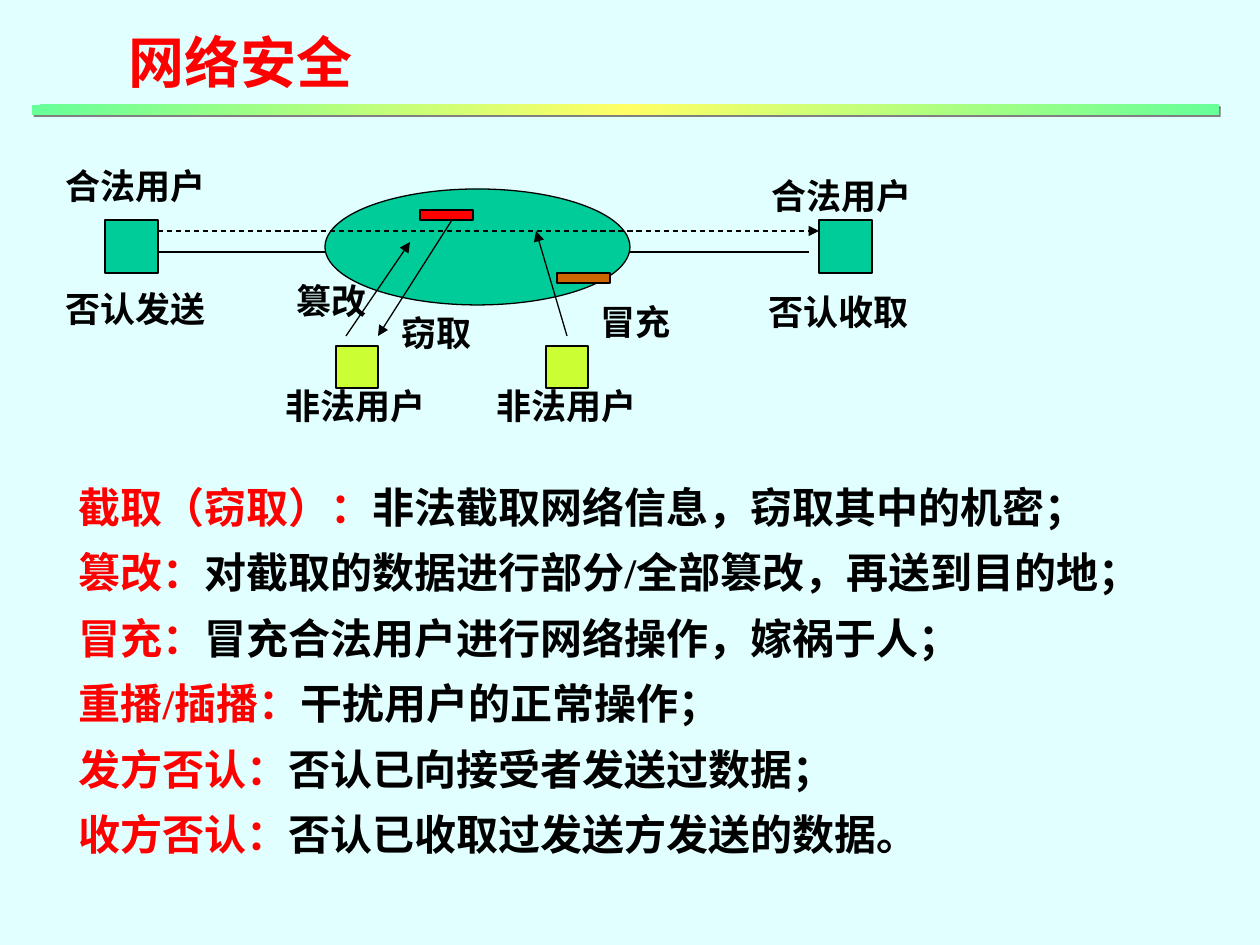
from copy import deepcopy

from lxml import etree
from pptx import Presentation, util as u
from pptx.dml.color import RGBColor
from pptx.enum import dml, shapes, text
from pptx.oxml.ns import qn

CJK, LATIN = "Noto Sans CJK SC", "Times New Roman"
BLACK, RED, GREEN, LIME, ORANGE = "000000", "FF0000", "00CC99", "CCFF33", "CC6600"
SQUARE, SMALL, BAR = (53, 53), (42, 42), (53, 10)

NODES = [
    ("RECTANGLE", (105, 220), SQUARE, GREEN),
    ("OVAL", (325, 189), (305, 116), GREEN),
    ("RECTANGLE", (819, 220), SQUARE, GREEN),
    ("RECTANGLE", (420, 210), BAR, RED),
    ("RECTANGLE", (336, 346), SMALL, LIME),
    ("RECTANGLE", (546, 346), SMALL, LIME),
    ("RECTANGLE", (557, 273), BAR, ORANGE),
]
LINKS = [((158, 252), (325, 252)), ((630, 252), (809, 252))]
ATTACKS = [
    ((452, 220), (378, 336)),
    ((346, 336), (410, 242)),
    ((567, 336), (536, 231)),
]
LABELS = [
    ("窃取", 389, 305), ("篡改", 284, 273), ("冒充", 588, 294),
    ("合法用户", 53, 158), ("合法用户", 759, 168),
    ("否认发送", 53, 281), ("否认收取", 756, 284),
    ("非法用户", 273, 378), ("非法用户", 484, 378),
]
THREATS = [
    ("截取（窃取）：", "非法截取网络信息，窃取其中的机密；"),
    ("篡改：", "对截取的数据进行部分/全部篡改，再送到目的地；"),
    ("冒充：", "冒充合法用户进行网络操作，嫁祸于人；"),
    ("重播/插播：", "干扰用户的正常操作；"),
    ("发方否认：", "否认已向接受者发送过数据；"),
    ("收方否认：", "否认已收取过发送方发送的数据。"),
]


def px(n):
    return u.Emu(round(n * 914400 / 126))


def rgb(value):
    return RGBColor.from_string(value)


def place(sp, x, y, w, h):
    sp.left, sp.top, sp.width, sp.height = px(x), px(y), px(w), px(h)


def add_run(p, content, size=20, color=BLACK, font=LATIN):
    r = p.add_run()
    r.text = content
    r.font.size, r.font.bold, r.font.name = u.Pt(size), True, font
    r.font.color.rgb = rgb(color)
    etree.SubElement(r.font._element, qn("a:ea"), typeface=CJK)


def set_frame(sp, anchor=text.MSO_ANCHOR.MIDDLE, wrap=False):
    tf = sp.text_frame
    tf.word_wrap = wrap
    tf.auto_size = text.MSO_AUTO_SIZE.NONE
    tf.vertical_anchor = anchor
    return tf


def add_title(s):
    sp = s.shapes.title
    place(sp, 116, 21, 462, 81)
    p = set_frame(sp, wrap=True).paragraphs[0]
    p.alignment = text.PP_ALIGN.LEFT
    add_run(p, "网络安全", size=32, color=RED, font=CJK)


def add_threats(s):
    sp = s.placeholders[1]
    place(sp, 66, 460, 1106, 406)
    tf = set_frame(sp, anchor=text.MSO_ANCHOR.TOP)
    for i, (term, meaning) in enumerate(THREATS):
        p = tf.add_paragraph() if i else tf.paragraphs[0]
        pPr = p._p.get_or_add_pPr()
        pPr.set("marL", "0")
        pPr.set("indent", "0")
        etree.SubElement(pPr, qn("a:buNone"))
        p.space_before = u.Pt(0)
        p.line_spacing = u.Pt(37.4)
        add_run(p, term, size=24, color=RED)
        add_run(p, meaning, size=24)


def add_node(s, kind, at, size, color):
    sp = s.shapes.add_shape(shapes.MSO_SHAPE[kind], *map(px, at + size))
    sp.shadow.inherit = False
    sp.fill.solid()
    sp.fill.fore_color.rgb = rgb(color)
    sp.line.color.rgb = rgb(BLACK)
    sp.line.width = u.Pt(0.75)


def add_line(s, start, end, arrow=False, dashed=False):
    c = s.shapes.add_connector(shapes.MSO_CONNECTOR.STRAIGHT, *map(px, start + end))
    c.line.color.rgb = rgb(BLACK)
    c.line.width = u.Pt(0.75)
    if dashed:
        c.line.dash_style = dml.MSO_LINE.DASH
    if arrow:
        etree.SubElement(c.line._get_or_add_ln(), qn("a:tailEnd"), type="triangle")
    etree.SubElement(c._element.spPr, qn("a:effectLst"))


def add_label(s, content, x, y):
    width = 24 + 35 * len(content)
    sp = s.shapes.add_textbox(px(x), px(y), px(width), px(55))
    add_run(set_frame(sp).paragraphs[0], content)


def add_divider(s):
    """Green-yellow-green bar with a hard grey shadow."""
    sp = s.shapes.add_shape(shapes.MSO_SHAPE.RECTANGLE, *map(px, (32, 105, 1187, 10)))
    sp.line.fill.background()
    sp.fill.gradient()
    sp.fill.gradient_angle = 135
    stops = sp._element.spPr.find(".//" + qn("a:gsLst"))
    stops.insert(1, deepcopy(stops[0]))
    for stop, position, color in zip(
        sp.fill.gradient_stops, (0, 0.5, 1), ("66FF99", "FFFF66", "66FF99")
    ):
        stop.position = position
        stop.color.rgb = rgb(color)
    effects = etree.SubElement(sp._element.spPr, qn("a:effectLst"))
    shadow = etree.SubElement(effects, qn("a:outerShdw"), blurRad="0",
                              dist=str(u.Pt(1.4)), dir="2700000", algn="ctr")
    etree.SubElement(shadow, qn("a:srgbClr"), val="808080")


def main():
    prs = Presentation()
    prs.slide_width, prs.slide_height = u.Inches(10), u.Inches(7.5)
    s = prs.slides.add_slide(prs.slide_layouts[1])
    s.background.fill.solid()
    s.background.fill.fore_color.rgb = rgb("E1FFFF")
    add_title(s)
    add_threats(s)
    for node in NODES:
        add_node(s, *node)
    for link in LINKS:
        add_line(s, *link)
    add_line(s, (158, 231), (819, 231), arrow=True, dashed=True)
    for attack in ATTACKS:
        add_line(s, *attack, arrow=True)
    for label in LABELS:
        add_label(s, *label)
    add_divider(s)
    prs.save("out.pptx")


if __name__ == "__main__":
    main()
